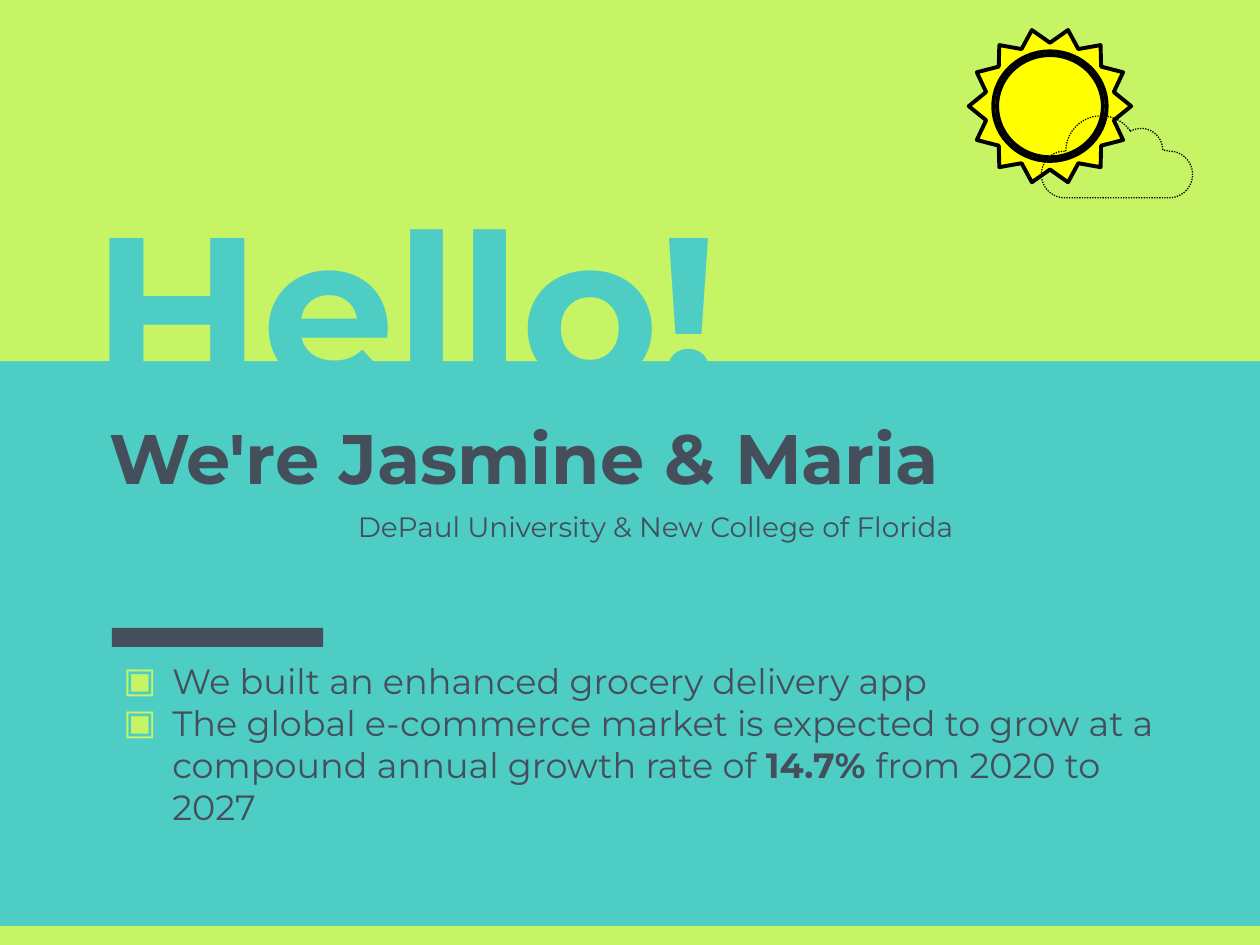
from dataclasses import dataclass
from math import cos, radians, sin

from lxml.etree import SubElement
from pptx import Presentation
from pptx.dml.color import RGBColor as RGB
from pptx.enum.dml import MSO_LINE as Dash
from pptx.enum.shapes import MSO_SHAPE as Shape
from pptx.enum.text import MSO_ANCHOR as Anchor
from pptx.oxml.ns import qn
from pptx.util import Pt

COLORS = {"teal": "4ECDC4", "lime": "C7F464", "slate": "454F5B",
          "yellow": "FFFF00", "black": "000000"}
FONT = "Montserrat"
INSET = 7.2


@dataclass
class Box:
    x: float
    y: float
    w: float
    h: float


@dataclass
class Arc:
    cx: float
    cy: float
    rx: float
    ry: float
    start: float = 0
    end: float = 360
    steps: int = 60

    def points(self) -> list:
        turn = (self.end - self.start) / self.steps
        angles = [radians(self.start + i * turn) for i in range(self.steps + 1)]
        return [(self.cx + self.rx * cos(a), self.cy + self.ry * sin(a))
                for a in angles]


@dataclass
class Para:
    runs: list  # (text, bold) pairs
    size: float
    before: float = 0
    indent: float = 0
    bullet: str = ""


def color(name: str) -> RGB:
    return RGB.from_string(COLORS[name])


def set_attrs(obj, values: dict) -> None:
    for name, value in values.items():
        setattr(obj, name, value)


def style(sp, fill: str = "", line: float = 0, dash=None) -> None:
    sp.shadow.inherit = False
    if fill:
        sp.fill.solid()
        sp.fill.fore_color.rgb = color(fill)
    else:
        sp.fill.background()
    if line:
        sp.line.color.rgb = color("black")
        set_attrs(sp.line, {"width": Pt(line), "dash_style": dash})
    else:
        sp.line.fill.background()


def add_preset(s, kind, box: Box, fill: str, line: float = 0) -> None:
    sp = s.shapes.add_shape(kind, Pt(box.x), Pt(box.y), Pt(box.w), Pt(box.h))
    style(sp, fill, line)


def add_outline(s, contours: list, **look) -> None:
    paths = [[(Pt(x), Pt(y)) for x, y in c] for c in contours]
    builder = s.shapes.build_freeform(*paths[0][0])
    builder.add_line_segments(paths[0][1:], close=True)
    for path in paths[1:]:
        builder.move_to(*path[0])
        builder.add_line_segments(path[1:], close=True)
    style(builder.convert_to_shape(), **look)


def add_bullet(p, char: str, hanging: float) -> None:
    pPr = p._p.get_or_add_pPr()
    pPr.set("indent", str(-Pt(hanging)))
    clr = SubElement(pPr, qn("a:buClr"))
    SubElement(clr, qn("a:srgbClr"), val=COLORS["lime"])
    SubElement(pPr, qn("a:buFont"), typeface=FONT)
    SubElement(pPr, qn("a:buChar"), char=char)


def add_text(s, box: Box, paras: list, ink: str, anchor=Anchor.TOP) -> None:
    tb = s.shapes.add_textbox(Pt(box.x), Pt(box.y), Pt(box.w), Pt(box.h))
    tf = tb.text_frame
    set_attrs(tf, {"word_wrap": True, "vertical_anchor": anchor})
    set_attrs(tf, {f"margin_{side}": Pt(INSET)
                   for side in ("left", "right", "top", "bottom")})
    for i, para in enumerate(paras):
        p = tf.add_paragraph() if i else tf.paragraphs[0]
        p.space_before = Pt(para.before)
        p._p.get_or_add_pPr().set("marL", str(Pt(para.indent)))
        if para.bullet:
            add_bullet(p, para.bullet, 28)
        for text, bold in para.runs:
            r = p.add_run()
            r.text = text
            set_attrs(r.font, {"name": FONT, "size": Pt(para.size), "bold": bold})
            r.font.color.rgb = color(ink)


def add_sun(s, cx: float, cy: float) -> None:
    rays = 14
    # Alternate ray tips and valleys
    tips = Arc(cx, cy, 46.4, 44.6, steps=rays).points()[:-1]
    half = 180 / rays
    valleys = Arc(cx, cy, 37.4, 36.2, half, 360 + half, rays).points()[:-1]
    burst = [pt for pair in zip(tips, valleys) for pt in pair]
    rim = Arc(cx, cy, 32.4, 31.3).points()[:-1]
    add_outline(s, [burst, rim], fill="yellow", line=2.25)
    rx, ry = 30.2, 29.2
    add_preset(s, Shape.OVAL, Box(cx - rx, cy - ry, 2 * rx, 2 * ry), "yellow", 2.25)


def add_cloud(s) -> None:
    lobes = [Arc(668.2, 99.7, 13.3, 13.3, 90, -90),
             Arc(652.1, 85.7, 12.3, 12.3, 0, -121),
             Arc(629.3, 86.4, 20.2, 20.2, -35, -180),
             Arc(608.4, 99.7, 13.3, 13.3, -90, -270)]
    outline = [pt for lobe in lobes for pt in lobe.points()]
    add_outline(s, [outline], line=0.75, dash=Dash.ROUND_DOT)


def main() -> None:
    prs = Presentation()
    set_attrs(prs, {"slide_width": Pt(720), "slide_height": Pt(540)})
    s = prs.slides.add_slide(prs.slide_layouts[6])
    s.background.fill.solid()
    s.background.fill.fore_color.rgb = color("teal")

    # Bands at the bottom and top
    add_preset(s, Shape.RECTANGLE, Box(0, 529.2, 720, 10.8), "lime")
    add_preset(s, Shape.RECTANGLE, Box(0, 0, 720, 206.4), "lime")

    # Greeting, names and schools
    add_text(s, Box(46, 129.6, 396, 121.7),
             [Para([("Hello!", True)], 120)], "teal", Anchor.BOTTOM)
    add_text(s, Box(55.4, 229.7, 517, 65.5), [
        Para([("We're Jasmine & Maria", True)], 40),
        Para([("DePaul University & New College of Florida", False)], 16,
             before=6, indent=142)], "slate")

    # Facts under a short bar
    add_text(s, Box(55.4, 369.4, 618.5, 177), [
        Para([("We built an enhanced grocery delivery app", False)], 20,
             indent=36, bullet="▣"),
        Para([("The global e-commerce market is expected to grow at a "
               "compound annual growth rate of ", False),
              ("14.7% ", True), ("from 2020 to 2027", False)], 20,
             indent=36, bullet="▣")], "slate")
    add_preset(s, Shape.RECTANGLE, Box(64, 358.8, 120.7, 10.8), "slate")

    # Sun behind a dotted cloud
    add_sun(s, 600, 60.7)
    add_cloud(s)
    prs.save("out.pptx")


if __name__ == "__main__":
    main()
